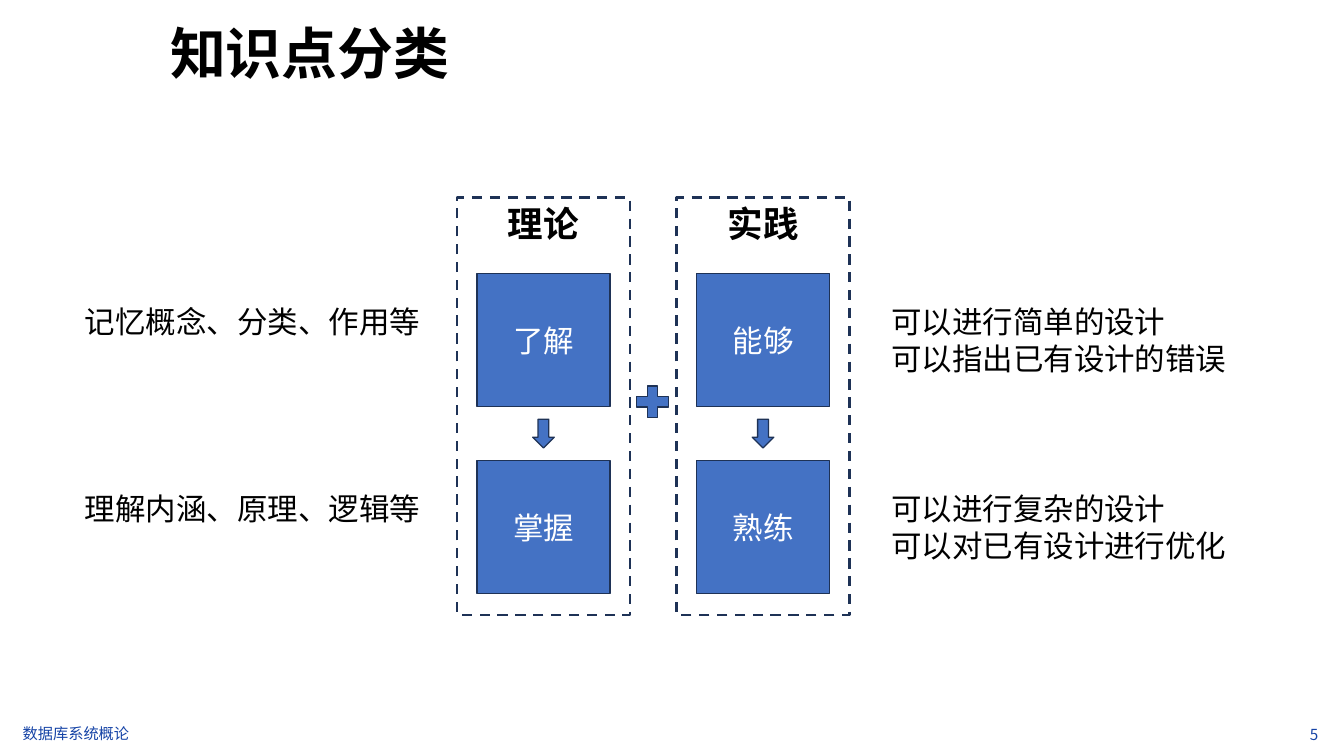
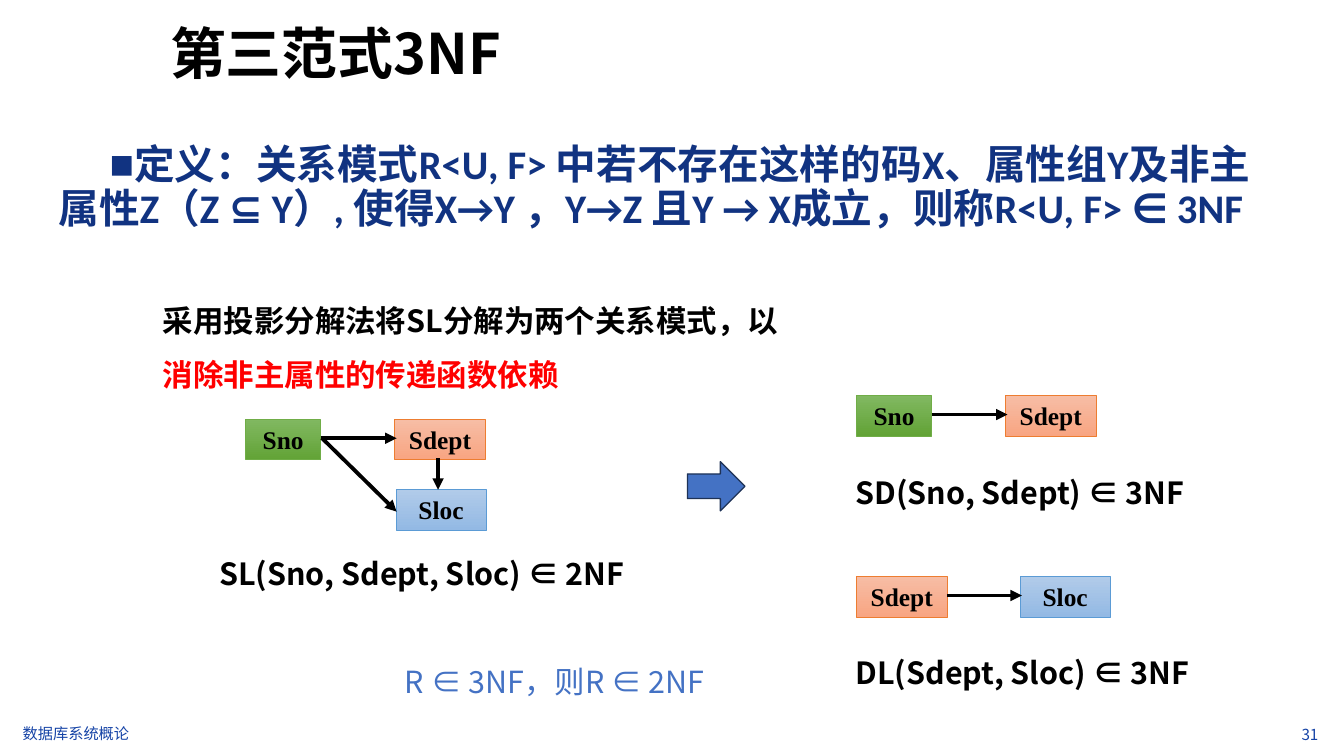
from pptx import Presentation
from pptx.dml.color import RGBColor
from pptx.enum.dml import MSO_LINE
from pptx.enum.shapes import MSO_CONNECTOR, MSO_SHAPE
from pptx.enum.text import MSO_ANCHOR, MSO_AUTO_SIZE, PP_ALIGN
from pptx.oxml.ns import qn
from pptx.util import Cm, Pt
from lxml.etree import SubElement

# Colours
BLACK = RGBColor(0x00, 0x00, 0x00)
WHITE = RGBColor(0xFF, 0xFF, 0xFF)
RED = RGBColor(0xFF, 0x00, 0x00)
BLUE = RGBColor(0x44, 0x72, 0xC4)
OUTLINE = RGBColor(0x1E, 0x32, 0x56)
FOOTER_BLUE = RGBColor(0x15, 0x43, 0xA6)
DEFINITION_BLUE = RGBColor(0x11, 0x33, 0x81)

# Fonts
SANS = "Noto Sans CJK SC"
BODY = "Calibri"
SERIF = "Times New Roman"

# Attribute boxes: width in cm, gradient top, gradient bottom, outline
ATTRIBUTES = {
    "Sno": (2.08, RGBColor(0x81, 0xB8, 0x61), RGBColor(0x62, 0xA3, 0x36),
            RGBColor(0x70, 0xAD, 0x47)),
    "Sdept": (2.51, RGBColor(0xF7, 0xBD, 0xA5), RGBColor(0xF8, 0xA5, 0x82),
              RGBColor(0xED, 0x7D, 0x31)),
    "Sloc": (2.51, RGBColor(0xB1, 0xCB, 0xE9), RGBColor(0x93, 0xB9, 0xE4),
             RGBColor(0x5B, 0x9B, 0xD5)),
}
ATTRIBUTE_HEIGHT = 1.12


class Deck:
    """Holds the shared style and the slide being filled; lengths are in cm."""

    def __init__(self):
        self.presentation = Presentation()
        self.presentation.slide_width = Cm(37.34)
        self.presentation.slide_height = Cm(21.01)
        self.slide = None

    def new_slide(self, title, number, layout):
        layouts = self.presentation.slide_layouts
        self.slide = self.presentation.slides.add_slide(layouts.get_by_name(layout))
        for placeholder in list(self.slide.placeholders):
            if placeholder.placeholder_format.type in (13, 15, 16):
                placeholder.element.getparent().remove(placeholder.element)
        self.placeholder(0, title, (4.47, 0.61, 30, 1.6), 44, SANS, BLACK)
        self.text(["数据库系统概论"], (0.38, 20.07, 4, 0.71), 12, color=FOOTER_BLUE,
                  spacing=0.9)
        self.text([number], (28.47, 19.96, 8.41, 0.89), 12, color=FOOTER_BLUE,
                  align=PP_ALIGN.RIGHT, anchor=MSO_ANCHOR.MIDDLE)

    def style(self, paragraph, size, font, color, bold=False, align=PP_ALIGN.LEFT,
              spacing=None):
        paragraph.alignment = align
        paragraph.line_spacing = spacing
        paragraph.font.name = font
        paragraph.font.size = Pt(size)
        paragraph.font.bold = bold
        paragraph.font.color.rgb = color
        # East Asian letters use the same font
        properties = paragraph._p.get_or_add_pPr().find(qn("a:defRPr"))
        SubElement(properties, qn("a:ea")).set("typeface", font)

    def placeholder(self, index, text, box, size, font, color):
        shape = self.slide.placeholders[index]
        shape.left, shape.top, shape.width, shape.height = map(Cm, box)
        frame = shape.text_frame
        frame.text = text
        frame.auto_size = MSO_AUTO_SIZE.NONE
        frame.vertical_anchor = MSO_ANCHOR.TOP
        paragraph = frame.paragraphs[0]
        self.style(paragraph, size, font, color, bold=True, spacing=0.9)
        paragraph.space_before = paragraph.space_after = Pt(6.6)
        return paragraph

    def text(self, lines, box, size=24, font=SANS, color=BLACK, bold=False,
             align=PP_ALIGN.LEFT, spacing=None, anchor=MSO_ANCHOR.TOP):
        frame = self.slide.shapes.add_textbox(*map(Cm, box)).text_frame
        frame.word_wrap = True
        frame.vertical_anchor = anchor
        frame.text = "\n".join(lines)
        for paragraph in frame.paragraphs:
            self.style(paragraph, size, font, color, bold, align, spacing)
        return frame.paragraphs[0]

    def shape(self, kind, box, text="", size=24, font=SANS, color=WHITE, bold=False,
              fill=BLUE, line=OUTLINE, width=1, anchor=MSO_ANCHOR.MIDDLE):
        shape = self.slide.shapes.add_shape(kind, *map(Cm, box))
        shape.shadow.inherit = False
        if fill is None:
            shape.fill.background()
        else:
            shape.fill.solid()
            shape.fill.fore_color.rgb = fill
        shape.line.color.rgb = line
        shape.line.width = Pt(width)
        if text:
            shape.text_frame.text = text
            shape.text_frame.vertical_anchor = anchor
            self.style(shape.text_frame.paragraphs[0], size, font, color, bold,
                       PP_ALIGN.CENTER)
        return shape

    def panel(self, box, heading):
        shape = self.shape(MSO_SHAPE.RECTANGLE, box, heading, 28, color=BLACK, bold=True,
                           fill=None, width=2, anchor=MSO_ANCHOR.TOP)
        shape.line.dash_style = MSO_LINE.DASH

    def attribute(self, name, left, top):
        width, light, dark, line = ATTRIBUTES[name]
        shape = self.shape(MSO_SHAPE.RECTANGLE, (left, top, width, ATTRIBUTE_HEIGHT),
                           name, 20, SERIF, BLACK, True, line=line, width=0.5,
                           anchor=MSO_ANCHOR.TOP)
        shape.fill.gradient()
        shape.fill.gradient_angle = 270
        for stop, color in zip(shape.fill.gradient_stops, (light, dark)):
            stop.color.rgb = color

    def arrow(self, *ends):
        connector = self.slide.shapes.add_connector(MSO_CONNECTOR.STRAIGHT, *map(Cm, ends))
        connector.line.color.rgb = BLACK
        connector.line.width = Pt(3)
        SubElement(connector.line._get_or_add_ln(), qn("a:tailEnd")).set("type", "triangle")
        SubElement(connector._element.spPr, qn("a:effectLst"))

    def dependency(self, source, target, left, top, gap):
        """Two attribute boxes in a row, joined by an arrow."""
        start = left + ATTRIBUTES[source][0]
        middle = top + ATTRIBUTE_HEIGHT / 2 - 0.04
        self.attribute(source, left, top)
        self.attribute(target, start + gap, top)
        self.arrow(start, middle, start + gap + 0.05, middle)


def knowledge_slide(deck):
    deck.new_slide("知识点分类", "5", "Title Only")

    # Two dashed columns, each with two levels and its explanations
    columns = [
        ("理论", 2.11, [("了解", ["记忆概念、分类、作用等"]),
                      ("掌握", ["理解内涵、原理、逻辑等"])]),
        ("实践", 24.51, [("能够", ["可以进行简单的设计", "可以指出已有设计的错误"]),
                       ("熟练", ["可以进行复杂的设计", "可以对已有设计进行优化"])]),
    ]
    for column, (heading, note_left, levels) in enumerate(columns):
        left = 12.7 + 6.1 * column
        deck.panel((left, 5.49, 4.8, 11.6), heading)
        for row, (level, notes) in enumerate(levels):
            top = 7.6 + 5.2 * row
            deck.shape(MSO_SHAPE.RECTANGLE, (left + 0.55, top, 3.7, 3.7), level)
            deck.text(notes, (note_left, top + 0.7, 10.57, 1.27 * len(notes)), font=BODY)
        deck.shape(MSO_SHAPE.DOWN_ARROW, (left + 2.1, 11.65, 0.6, 0.8))
    deck.shape(MSO_SHAPE.MATH_PLUS, (17.53, 10.57, 1.2, 1.2))


def third_normal_form_slide(deck):
    deck.new_slide("第三范式3NF", "31", "Title and Content")

    # Definition with a square bullet
    definition = deck.placeholder(
        1, "定义：关系模式R<U, F> 中若不存在这样的码X、属性组Y及非主属性Z（Z ⊆ Y）, "
        "使得X→Y ，Y→Z 且Y → X成立，则称R<U, F> ∈ 3NF",
        (1.37, 3.89, 34.7, 2.62), 32, BODY, DEFINITION_BLUE)
    properties = definition._p.get_or_add_pPr()
    properties.set("marL", "0")
    properties.set("indent", str(Cm(1.42)))
    bullet = properties.makeelement(qn("a:buChar"), {"char": "■"})
    properties.find(qn("a:defRPr")).addprevious(bullet)

    # Method
    method = deck.text(["采用投影分解法将SL分解为两个关系模式，以"],
                       (4.27, 7.75, 17.86, 3.1), bold=True, spacing=1.5)
    goal = method.add_run()
    goal.text = "消除非主属性的传递函数依赖"
    goal.font.color.rgb = RED

    # Relation before the decomposition
    deck.dependency("Sno", "Sdept", 6.83, 11.66, 2.06)
    deck.attribute("Sloc", 11, 13.61)
    deck.arrow(8.94, 12.17, 11.02, 14.22)
    deck.arrow(12.17, 12.73, 12.17, 13.61)

    # Relations after the decomposition
    deck.shape(MSO_SHAPE.RIGHT_ARROW, (19.1, 12.83, 1.6, 1.37))
    deck.dependency("Sno", "Sdept", 23.8, 11, 2.06)
    deck.dependency("Sdept", "Sloc", 23.8, 16.03, 2.03)

    # Normal forms reached
    for relation, left, top in [("SL(Sno, Sdept, Sloc) ∈ 2NF", 5.84, 14.78),
                                ("SD(Sno, Sdept) ∈ 3NF", 23.52, 12.55),
                                ("DL(Sdept, Sloc) ∈ 3NF", 23.52, 17.55)]:
        deck.text([relation], (left, top, 13, 1.55), bold=True, spacing=1.5)
    deck.text(["R ∈ 3NF，则R ∈ 2NF"], (11, 18.31, 10, 1.27), color=BLUE)


def main():
    deck = Deck()
    knowledge_slide(deck)
    third_normal_form_slide(deck)
    deck.presentation.save("out.pptx")


if __name__ == "__main__":
    main()
